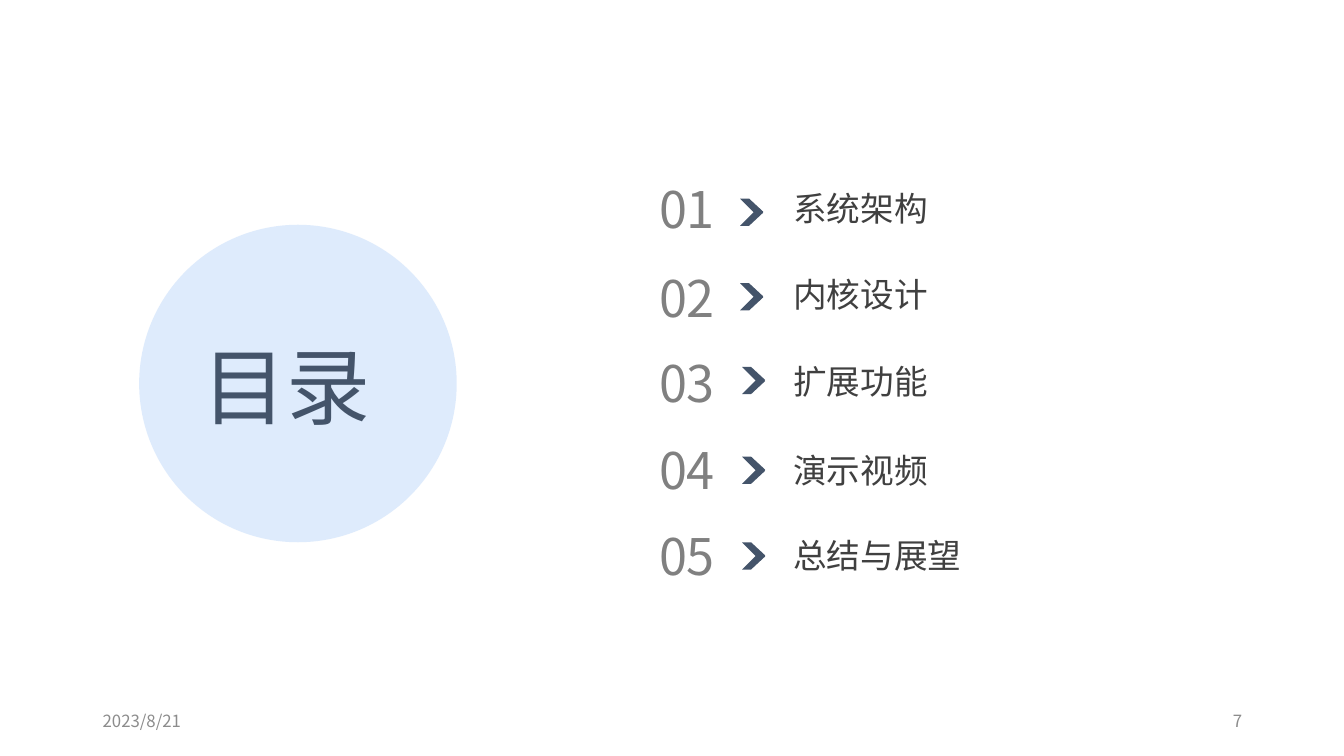
"""Build the contents slide: a titled circle beside five numbered chapters."""
from dataclasses import dataclass

from lxml import etree
from pptx import Presentation
from pptx.dml.color import RGBColor
from pptx.enum import shapes, text
from pptx.oxml import ns
from pptx.util import Inches, Pt

FONT = "Noto Sans CJK SC"
NAVY = RGBColor(0x44, 0x54, 0x6A)
BLUE = RGBColor(0x28, 0x7E, 0xED)
INK = RGBColor(0x40, 0x40, 0x40)
GRAY = RGBColor(0x80, 0x80, 0x80)
FOOTER_GRAY = RGBColor(0x8C, 0x8C, 0x8C)
LEFT, RIGHT = text.PP_ALIGN.LEFT, text.PP_ALIGN.RIGHT
TOP, MIDDLE = text.MSO_ANCHOR.TOP, text.MSO_ANCHOR.MIDDLE

CHEVRON_HEIGHT = 0.27
CHEVRON_ARM = [(0, 0), (0.18, 0.18), (0.23, 0.13), (0.09, 0)]


@dataclass
class Chapter:
    label: str
    number_top: float
    label_top: float
    chevron_left: float
    chevron_top: float
    label_width: float = 1.92


CHAPTERS = [
    Chapter("系统架构", 1.72, 1.82, 7.34, 1.97),
    Chapter("内核设计", 2.6, 2.67, 7.34, 2.81, 2.43),
    Chapter("扩展功能", 3.44, 3.53, 7.36, 3.64),
    Chapter("演示视频", 4.31, 4.41, 7.36, 4.53),
    Chapter("总结与展望", 5.16, 5.26, 7.36, 5.38),
]


def write(sp, words: str, size: float, color: RGBColor,
          align=LEFT, anchor=TOP, wrap: bool = True) -> None:
    """Put one formatted line of text in a shape."""
    tf = sp.text_frame
    tf.text = words
    tf.word_wrap = wrap
    tf.auto_size = text.MSO_AUTO_SIZE.NONE
    tf.vertical_anchor = anchor
    p = tf.paragraphs[0]
    p.alignment = align
    r = p.runs[0]
    r.font.size = Pt(size)
    r.font.color.rgb = color
    r.font.name = FONT
    etree.SubElement(r.font._element, ns.qn("a:ea"), typeface=FONT)


def add_text(s, left: float, top: float, width: float, height: float,
             words: str, size: float, color: RGBColor, align=LEFT, anchor=TOP) -> None:
    """Add a text box measured in inches."""
    sp = s.shapes.add_textbox(Inches(left), Inches(top), Inches(width), Inches(height))
    write(sp, words, size, color, align, anchor)


def add_chevron(s, left: float, top: float) -> None:
    """Add a chevron made of one arm and its mirror image."""
    group = s.shapes.add_group_shape()
    mirrored = [(x, CHEVRON_HEIGHT - y) for x, y in CHEVRON_ARM]
    for arm in (CHEVRON_ARM, mirrored):
        points = [(Inches(left + x), Inches(top + y)) for x, y in arm]
        builder = group.shapes.build_freeform(*points[0])
        builder.add_line_segments(points[1:], close=True)
        sp = builder.convert_to_shape()
        sp.shadow.inherit = False
        sp.fill.solid()
        sp.fill.fore_color.rgb = NAVY
        sp.line.fill.background()


def add_title(s) -> None:
    """Place the title over a pale translucent circle."""
    title = s.shapes.title
    title.left, title.top = Inches(1.91), Inches(3.27)
    title.width, title.height = Inches(1.87), Inches(1.11)
    write(title, "目录", 60, NAVY, wrap=False)
    circle = s.shapes.add_shape(shapes.MSO_SHAPE.OVAL, Inches(1.38), Inches(2.23),
                                Inches(3.15), Inches(3.15))
    circle.shadow.inherit = False
    circle.fill.solid()
    circle.fill.fore_color.rgb = BLUE
    circle.line.fill.background()
    color = circle.element.spPr.find(ns.qn("a:solidFill"))[0]
    etree.SubElement(color, ns.qn("a:alpha"), val="15000")
    title.element.addprevious(circle.element)


def main() -> None:
    """Compose and save the slide."""
    prs = Presentation()
    prs.slide_width, prs.slide_height = Inches(13.33), Inches(7.5)
    s = prs.slides.add_slide(prs.slide_layouts.get_by_name("Title Only"))
    add_title(s)
    for number, c in enumerate(CHAPTERS, 1):
        add_text(s, 5.94, c.number_top, 1.25, 0.71, f"{number:02}", 36, GRAY, RIGHT)
        add_chevron(s, c.chevron_left, c.chevron_top)
        add_text(s, 7.77, c.label_top, c.label_width, 0.5, c.label, 24, INK)
    add_text(s, 0.92, 6.95, 3, 0.4, "2023/8/21", 12, FOOTER_GRAY, anchor=MIDDLE)
    add_text(s, 9.42, 6.95, 3, 0.4, "7", 12, FOOTER_GRAY, RIGHT, MIDDLE)
    prs.save("out.pptx")


if __name__ == "__main__":
    main()
